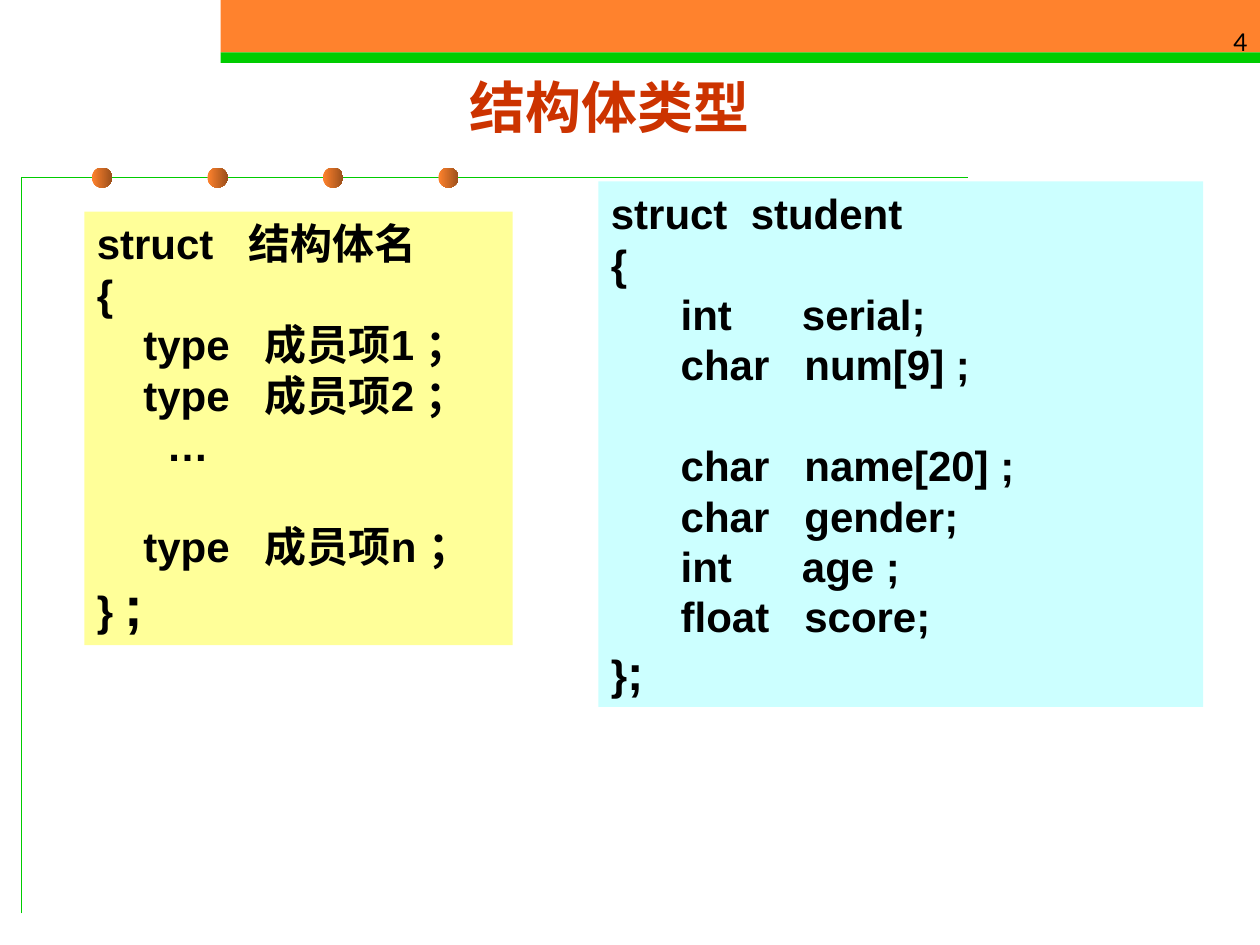
from pptx import Presentation
from pptx.dml.color import RGBColor
from pptx.enum.shapes import MSO_SHAPE
from pptx.enum.text import MSO_ANCHOR, PP_ALIGN
from pptx.util import Inches, Pt

RECTANGLE, OVAL = MSO_SHAPE.RECTANGLE, MSO_SHAPE.OVAL
TOP, MIDDLE, BOTTOM = MSO_ANCHOR.TOP, MSO_ANCHOR.MIDDLE, MSO_ANCHOR.BOTTOM
LEFT, CENTER, RIGHT = PP_ALIGN.LEFT, PP_ALIGN.CENTER, PP_ALIGN.RIGHT

ORANGE = RGBColor(0xFF, 0x82, 0x2D)
BROWN = RGBColor(0x9B, 0x4F, 0x1B)
GREEN = RGBColor(0x00, 0xCC, 0x00)
RED = RGBColor(0xCC, 0x33, 0x00)
BLACK = RGBColor(0x00, 0x00, 0x00)
YELLOW = RGBColor(0xFF, 0xFF, 0x99)
CYAN = RGBColor(0xCC, 0xFF, 0xFF)

CODE_SIZE = 24
LINE_HEIGHT = 1.2

TEMPLATE_CODE = [
    "struct   结构体名",
    "{",
    "    type   成员项1 ；",
    "    type   成员项2 ；",
    "      …",
    "    type   成员项n ；",
]
STUDENT_CODE = [
    "struct  student",
    "{",
    "      int      serial;",
    "      char   num[9] ;",
    "      char   name[20] ;",
    "      char   gender;",
    "      int      age ;",
    "      float   score;",
]


def add_block(page, kind, box, color):
    shape = page.shapes.add_shape(kind, *map(Inches, box))
    shape.shadow.inherit = False
    shape.line.fill.background()
    shape.fill.solid()
    shape.fill.fore_color.rgb = color
    return shape


def set_font(font, size, name, color, bold):
    font.size = Pt(size)
    font.name = name
    font.color.rgb = color
    font.bold = bold


def add_label(page, box, text, size, color, bold, align, anchor):
    frame = page.shapes.add_textbox(*map(Inches, box)).text_frame
    frame.word_wrap = True
    frame.vertical_anchor = anchor
    para = frame.paragraphs[0]
    para.text = text
    para.alignment = align
    set_font(para.font, size, "Lato", color, bold)


def add_header(page, box, number):
    left, top, width, height = box
    band = height * 5 / 6
    add_block(page, RECTANGLE, (left, top, width, band), ORANGE)
    add_block(page, RECTANGLE, (left, top + band, width, height - band), GREEN)
    add_label(page, (left + width * 0.75, top, width * 0.25, height),
              number, 14, BLACK, False, RIGHT, BOTTOM)


def add_frame_line(page, box):
    left, top, width, height = box
    builder = page.shapes.build_freeform(
        Inches(left), Inches(top + height), scale=1.0)
    builder.add_line_segments(
        [(Inches(left), Inches(top)), (Inches(left + width), Inches(top))],
        close=False)
    corner = builder.convert_to_shape()
    corner.shadow.inherit = False
    corner.fill.background()
    corner.line.color.rgb = GREEN
    corner.line.width = Pt(0.75)


def add_dots(page, box, count):
    left, top, width, size = box
    step = (width - size) / (count - 1)
    for index in range(count):
        dot = add_block(page, OVAL, (left + index * step, top, size, size), ORANGE)
        dot.fill.gradient()
        dot.fill.gradient_angle = 0
        for stop, color in zip(dot.fill.gradient_stops, (ORANGE, BROWN)):
            stop.color.rgb = color


def add_code(page, box, color, lines, closing, end_size, gap_row, wrap):
    frame = add_block(page, RECTANGLE, box, color).text_frame
    frame.word_wrap = wrap
    frame.vertical_anchor = TOP
    for row, line in enumerate(lines + [closing]):
        para = frame.paragraphs[0] if row == 0 else frame.add_paragraph()
        para.alignment = LEFT
        para.line_spacing = Pt(CODE_SIZE * LINE_HEIGHT)
        if row == gap_row:
            para.space_before = Pt(CODE_SIZE * LINE_HEIGHT)
        set_font(para.font, CODE_SIZE, "Arial", BLACK, True)
        para.add_run().text = line
    para.line_spacing = Pt(end_size * LINE_HEIGHT)
    semicolon = para.add_run()
    semicolon.text = ";"
    semicolon.font.size = Pt(end_size)


def main():
    deck = Presentation()
    deck.slide_width, deck.slide_height = Inches(10), Inches(7.5)
    page = deck.slides.add_slide(deck.slide_layouts[6])
    add_header(page, (1.75, 0, 8.25, 0.5), "4")
    add_frame_line(page, (0.17, 1.41, 7.51, 5.84))
    add_dots(page, (0.73, 1.33, 2.91, 0.16), 4)
    add_label(page, (0.51, 0.52, 8.66, 0.65), "结构体类型",
              32, RED, True, CENTER, MIDDLE)
    add_code(page, (0.67, 1.68, 3.4, 3.44), YELLOW, TEMPLATE_CODE,
             "} ", 32, 5, False)
    add_code(page, (4.75, 1.44, 4.8, 4.17), CYAN, STUDENT_CODE,
             "}", 28, 4, True)
    deck.save("out.pptx")


if __name__ == "__main__":
    main()
